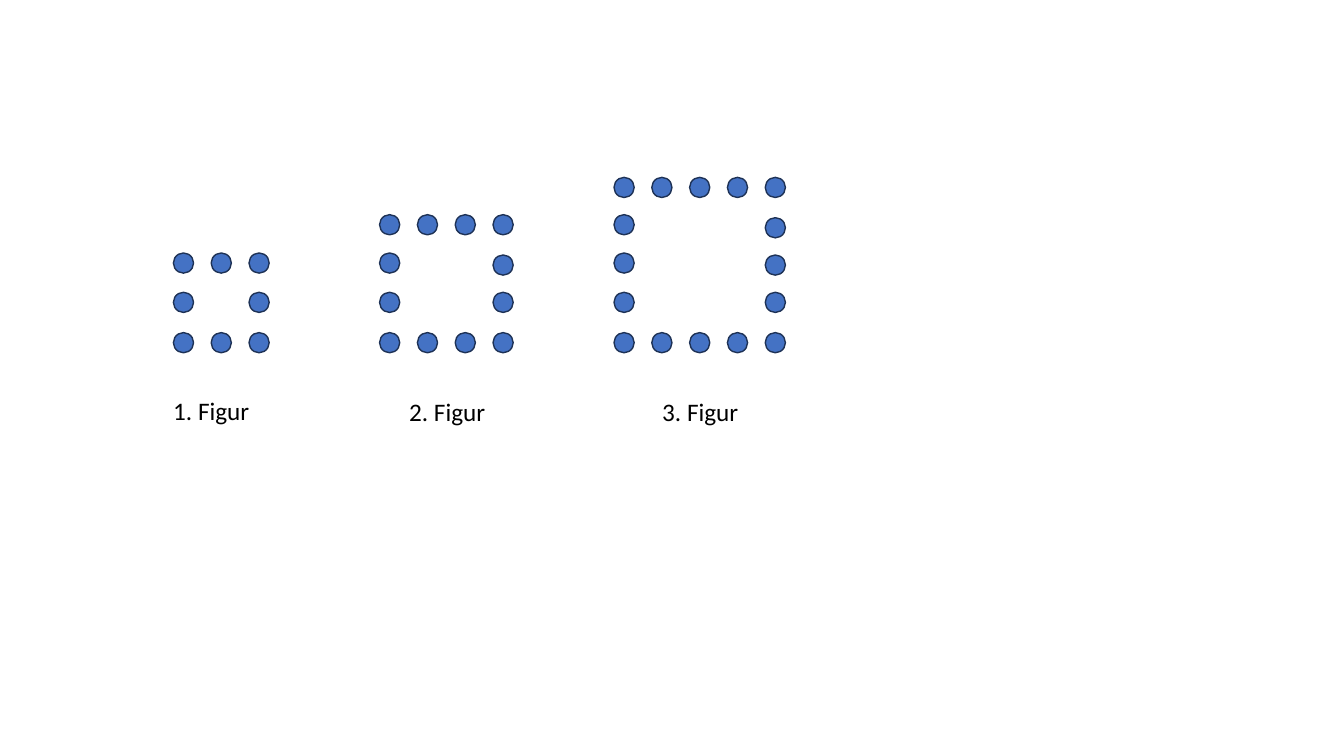
from pptx import Presentation
from pptx.dml.color import RGBColor
from pptx.enum.shapes import MSO_SHAPE
from pptx.enum.text import MSO_AUTO_SIZE
from pptx.util import Inches, Pt

OVAL = MSO_SHAPE.OVAL
GROW = MSO_AUTO_SIZE.SHAPE_TO_FIT_TEXT

COLORS = {"dot": "4472C4", "edge": "1E3256", "text": "000000"}
FONT = "Calibri"
DOT = 0.2
STEP = 0.375
# Row tops, counted from the bottom; the inner right side is spaced tighter
ROWS = [3.3, 2.9, 2.51, 2.13, 1.76]
INNER = [3.3, 2.9, 2.53, 2.16]

# Left edge, dots per side, label, label left, label top
FIGURES = [
    (1.72, 3, "1. Figur", 1.62, 3.87),
    (3.765, 4, "2. Figur", 3.96, 3.88),
    (6.09, 5, "3. Figur", 6.47, 3.88),
]


def color(name):
    return RGBColor.from_string(COLORS[name])


def add_dot(slide, left, top):
    dot = slide.shapes.add_shape(
        OVAL, Inches(left), Inches(top), Inches(DOT), Inches(DOT))
    dot.shadow.inherit = False
    dot.fill.solid()
    dot.fill.fore_color.rgb = color("dot")
    dot.line.color.rgb = color("edge")
    dot.line.width = Pt(1)


def add_square(slide, left, side):
    """Place dots along the border of a square grid."""
    last = side - 1
    for row in range(side):
        edge = row in (0, last)
        for col in range(side) if edge else (0, last):
            tops = INNER if col == last and not edge else ROWS
            add_dot(slide, left + col * STEP, tops[row])


def add_label(slide, text, left, top):
    box = slide.shapes.add_textbox(
        Inches(left), Inches(top), Inches(0.96), Inches(0.4))
    frame = box.text_frame
    frame.word_wrap = False
    frame.auto_size = GROW
    frame.text = text
    font = frame.paragraphs[0].runs[0].font
    font.name = FONT
    font.size = Pt(18)
    font.color.rgb = color("text")


def main():
    deck = Presentation()
    deck.slide_width = Inches(13.33)
    deck.slide_height = Inches(7.5)
    slide = deck.slides.add_slide(deck.slide_layouts[6])

    # Dot squares
    for left, side, *_ in FIGURES:
        add_square(slide, left, side)

    # Labels
    for _, _, text, left, top in FIGURES:
        add_label(slide, text, left, top)

    deck.save("out.pptx")


if __name__ == "__main__":
    main()
